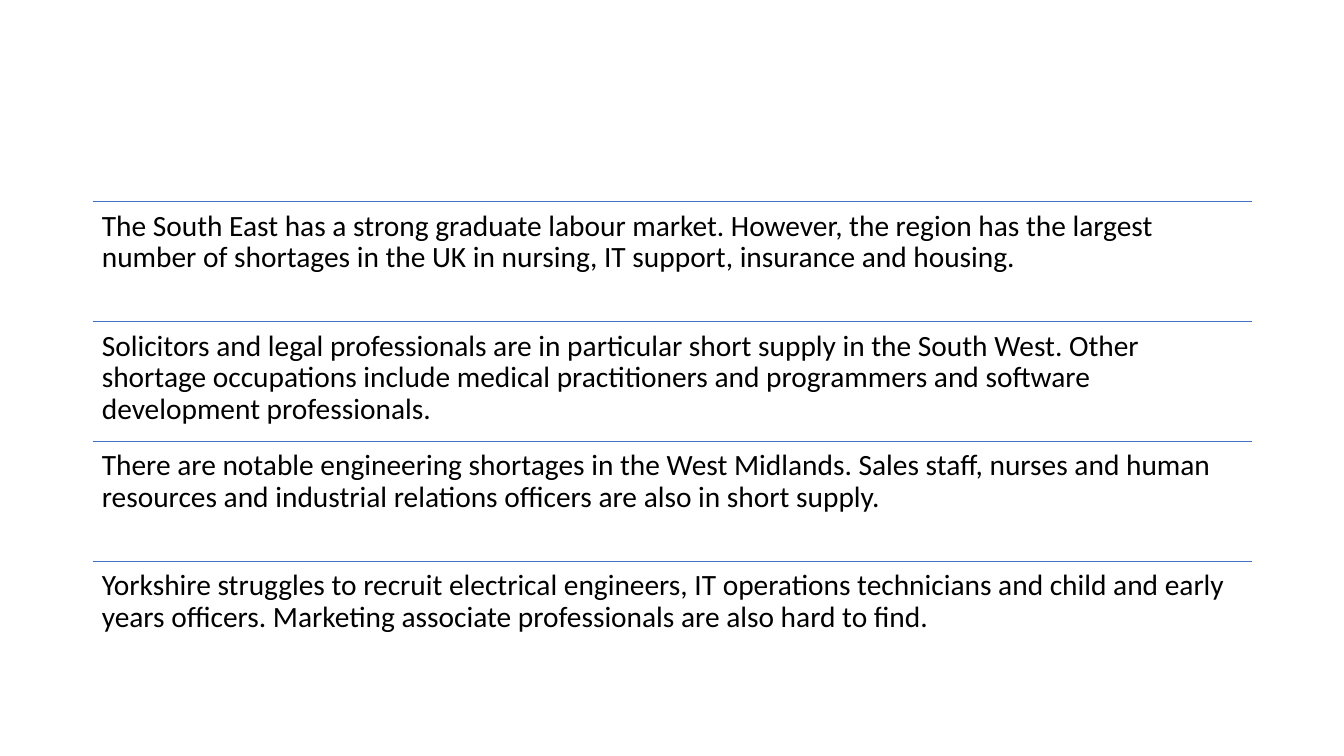
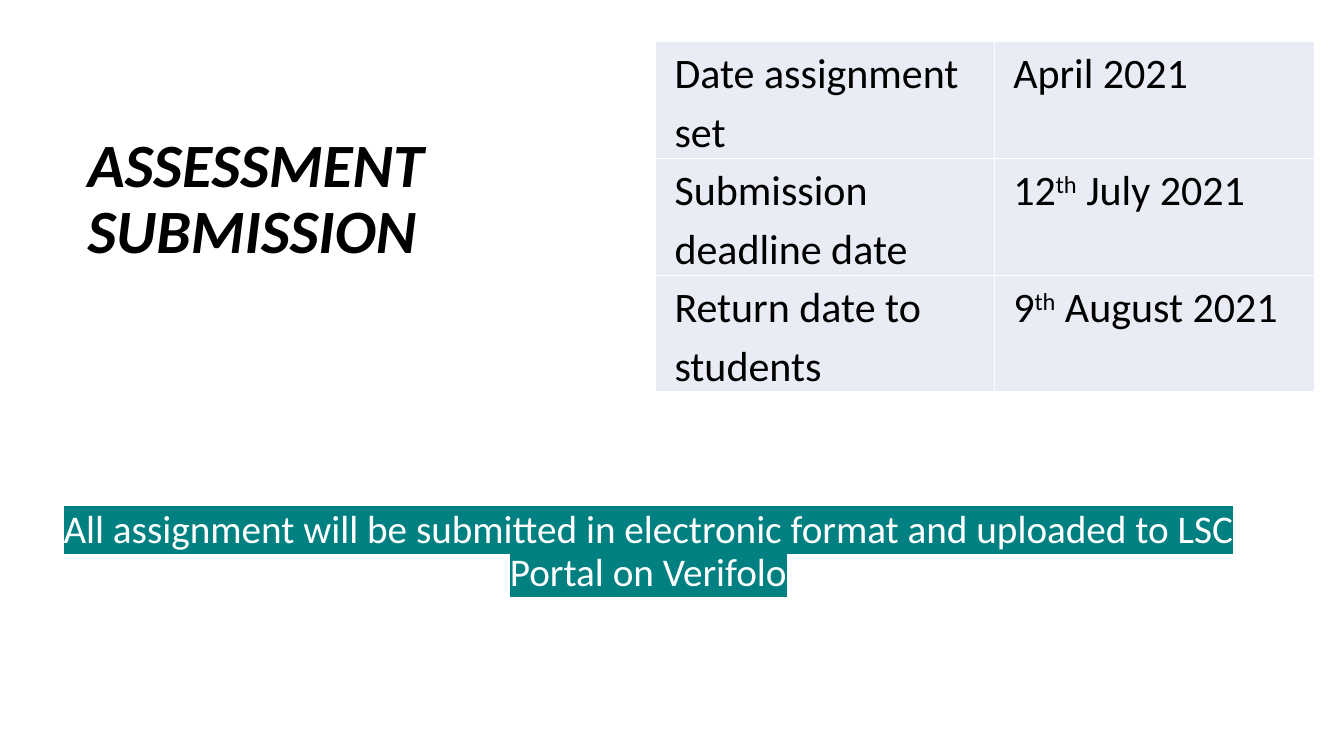
"""Build two slides: regional skill shortages and assessment submission dates."""
from lxml import etree
from pptx import Presentation
from pptx.dml.color import RGBColor as RGB
from pptx.enum.shapes import MSO_CONNECTOR as LINK
from pptx.enum.text import MSO_ANCHOR as ANCHOR, PP_ALIGN as ALIGN
from pptx.oxml import parse_xml
from pptx.oxml.ns import nsdecls, qn
from pptx.util import Inches, Pt

FONT = "Calibri"
BLACK, WHITE, BLUE, TEAL, PALE = "000000", "FFFFFF", "4472C4", "008080", "E9EBF5"


def paint(item, tint):
    if hasattr(item, "solid"):
        item.solid()
        item = item.fore_color
    item.rgb = RGB.from_string(tint)


def write(para, text, size, tint=BLACK):
    run = para.add_run()
    run.text = text
    run.font.name = FONT
    run.font.size = Pt(size)
    paint(run.font.color, tint)
    return run


deck = Presentation()
deck.slide_width, deck.slide_height = Inches(13.33), Inches(7.5)
blank = deck.slide_layouts[6]

facts = [
    "The South East has a strong graduate labour market. However, the region has the largest "
    "number of shortages in the UK in nursing, IT support, insurance and housing.",
    "Solicitors and legal professionals are in particular short supply in the South West. Other "
    "shortage occupations include medical practitioners and programmers and software "
    "development professionals.",
    "There are notable engineering shortages in the West Midlands. Sales staff, nurses and human "
    "resources and industrial relations officers are also in short supply.",
    "Yorkshire struggles to recruit electrical engineers, IT operations technicians and child and "
    "early years officers. Marketing associate professionals are also hard to find.",
]
left, top, width, step = 0.92, 2, 11.5, 1.19
slide = deck.slides.add_slide(blank)
for row, fact in enumerate(facts):
    y = Inches(top + row * step)
    rule = slide.shapes.add_connector(
        LINK.STRAIGHT, Inches(left), y, Inches(left + width), y)
    paint(rule.line.fill, BLUE)
    rule.line.width = Pt(1)
    etree.SubElement(rule._element.spPr, qn("a:effectLst"))
    frame = slide.shapes.add_textbox(
        Inches(left), y, Inches(width), Inches(step)).text_frame
    frame.word_wrap = True
    frame.margin_left = frame.margin_right = Inches(0.09)
    frame.margin_top = frame.margin_bottom = Inches(0.09)
    para = frame.paragraphs[0]
    para.line_spacing = 0.9
    write(para, fact, 21)

slide = deck.slides.add_slide(blank)
boxes = [
    ((0.77, 0.78, 4.76, 2.42), "ASSESSMENT SUBMISSION", 44, BLACK, ALIGN.LEFT),
    ((0.26, 4.48, 12.34, 2), "All assignment will be submitted in electronic format "
     "and uploaded to LSC Portal on Verifolo", 28, WHITE, ALIGN.CENTER),
]
runs = []
for place, text, size, tint, align in boxes:
    frame = slide.shapes.add_textbox(*map(Inches, place)).text_frame
    frame.word_wrap = True
    frame.vertical_anchor = ANCHOR.MIDDLE
    para = frame.paragraphs[0]
    para.alignment = align
    para.line_spacing = 0.9
    runs.append(write(para, text, size, tint))
title, notice = runs
title.font.bold = title.font.italic = True
mark = parse_xml(f'<a:highlight {nsdecls("a")}><a:srgbClr val="{TEAL}"/></a:highlight>')
notice._r.rPr.find(qn("a:solidFill")).addnext(mark)

dates = [
    (["Date assignment set"], ["April 2021"]),
    (["Submission deadline date"], ["12", "th", " July 2021"]),
    (["Return date to students"], ["9", "th", " August 2021"]),
]
widths, height = (3.36, 3.18), 1.16
table = slide.shapes.add_table(
    len(dates), len(widths), Inches(6.5), Inches(0.41),
    Inches(sum(widths)), Inches(height * len(dates))).table
table.first_row = table.horz_banding = False
for col, wide in zip(table.columns, widths):
    col.width = Inches(wide)
for row, texts in zip(table.rows, dates):
    row.height = Inches(height)
    for cell, parts in zip(row.cells, texts):
        cell.margin_left = cell.margin_right = Inches(0.19)
        cell.margin_top = cell.margin_bottom = 0
        paint(cell.fill, PALE)
        for spot, side in enumerate("LRTB"):
            edge = parse_xml(
                f'<a:ln{side} {nsdecls("a")} w="{Pt(1)}"><a:solidFill>'
                f'<a:srgbClr val="{WHITE}"/></a:solidFill></a:ln{side}>')
            cell._tc.tcPr.insert(spot, edge)
        para = cell.text_frame.paragraphs[0]
        para.line_spacing = 1.15
        for part in parts:
            run = write(para, part, 30)
            if part == "th":
                run._r.rPr.set("baseline", "30000")

deck.save("out.pptx")
